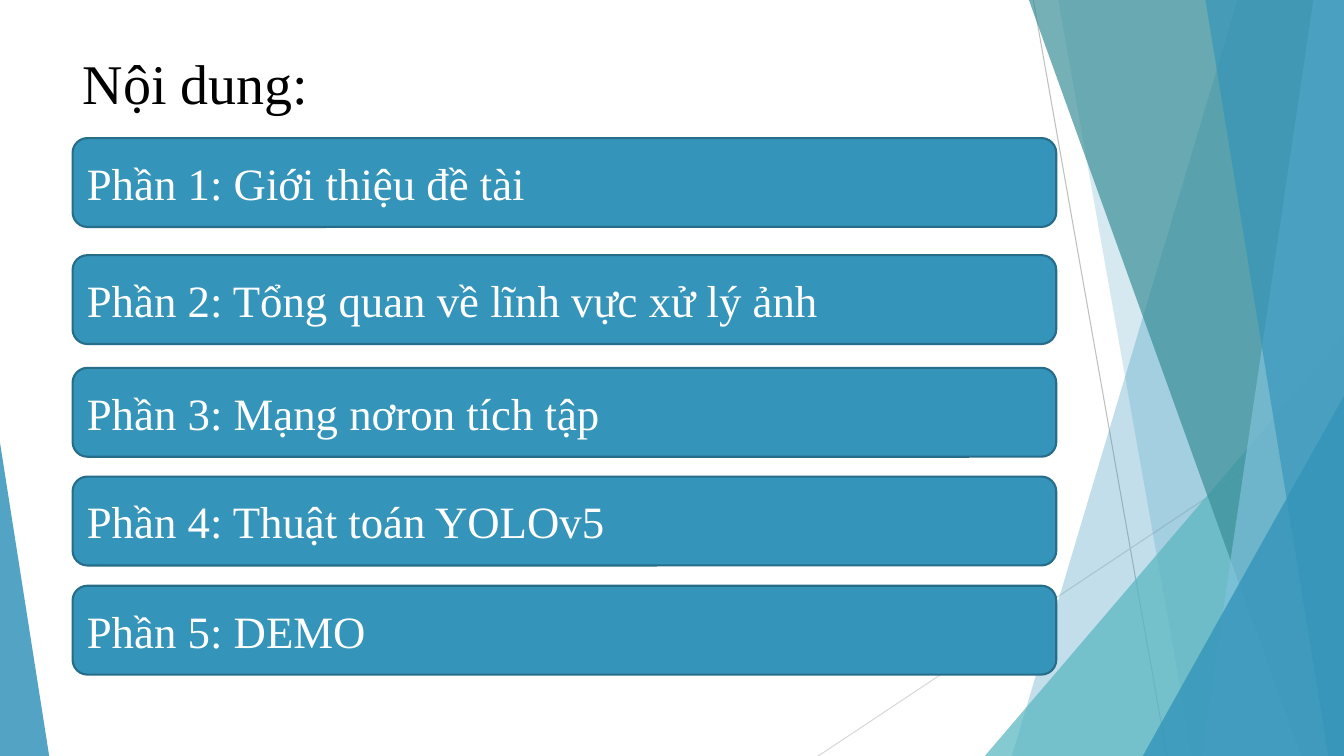
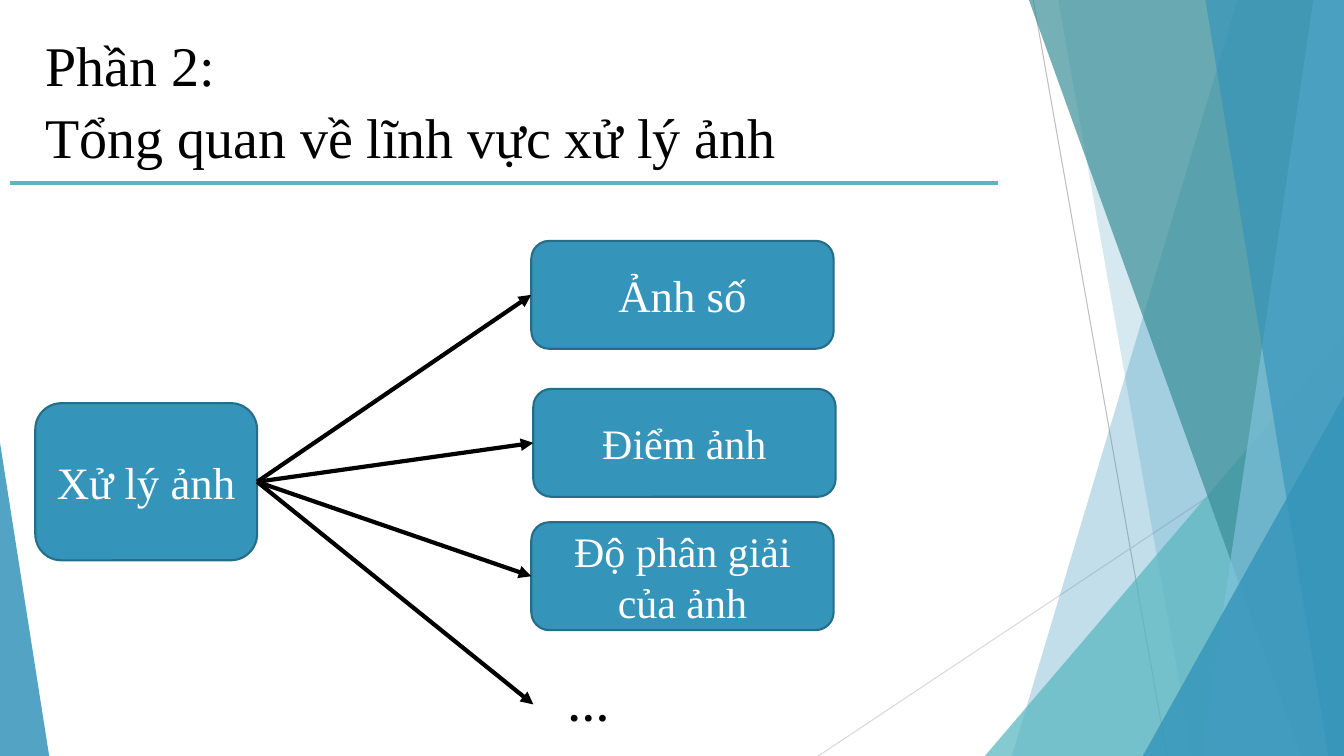
from pptx import Presentation
from pptx.dml.color import RGBColor
from pptx.enum.shapes import MSO_CONNECTOR, MSO_SHAPE
from pptx.enum.text import MSO_ANCHOR, MSO_AUTO_SIZE, PP_ALIGN
from pptx.oxml.ns import qn
from pptx.util import Cm, Pt
from lxml.etree import SubElement

# Content, lengths in cm
CONTENTS_TITLE = "Nội dung:"
SECTIONS = [  # text, top
    ("Phần 1: Giới thiệu đề tài", 3.48),
    ("Phần 2: Tổng quan về lĩnh vực xử lý ảnh", 6.43),
    ("Phần 3: Mạng nơron tích tập", 9.27),
    ("Phần 4: Thuật toán YOLOv5", 12.01),
    ("Phần 5: DEMO", 14.76),
]
TOPIC_TITLE = "Phần 2:\nTổng quan về lĩnh vực xử lý ảnh"
ROOT = "Xử lý ảnh"
BRANCHES = [  # text, left, top, font size
    ("Ảnh số", 13.39, 6.07, 32),
    ("Điểm ảnh", 13.44, 9.8, 30),
    ("Độ phân giải của ảnh", 13.39, 13.16, 30),
]
MORE = "…"

# Shared look
WIDTH, HEIGHT = 33.87, 19.05
FONT = "Times New Roman"
BLUE, EDGE, TEAL = "3494BA", "266D8A", "58B6C0"
BLACK, WHITE = "000000", "FFFFFF"
RAYS = [  # start x, start y, end x, end y, colour
    (26.04, 0, 29.41, HEIGHT, "BFBFBF"),
    (WIDTH, 10.24, 20.62, HEIGHT, "D9D9D9"),
]
BACK_BANDS = [  # x at the top, x at the bottom, colour, opacity in percent
    (31.19, 25.5, BLUE, 30),
    (26.67, 30.05, BLUE, 20),
]
FRONT_BANDS = [
    (25.93, 32.79, "3A8F98", 70),
    (33.1, 30.28, "7FC1DB", 70),
    (30.38, 33.48, BLUE, 65),
]
TEAL_CORNER = (24.82, 8.46, WIDTH, 1, TEAL, 72)  # left, top, right, apex, colour, opacity
SIDE_CORNERS = [
    (28.8, 9.98, WIDTH, 1, BLUE, 80),
    (0, 11.15, 1.24, 0, BLUE, 85),
]


def color(value):
    return RGBColor.from_string(value)


def paint(shape, fill, opacity=100, edge=None):
    shape.shadow.inherit = False
    shape.fill.solid()
    shape.fill.fore_color.rgb = color(fill)
    if opacity < 100:
        tint = shape.element.spPr.find(".//" + qn("a:srgbClr"))
        SubElement(tint, qn("a:alpha")).set("val", str(opacity * 1000))
    if edge:
        shape.line.color.rgb = color(edge)
        shape.line.width = Pt(1.5)
    else:
        shape.line.fill.background()


def write(shape, text, size, ink, align=PP_ALIGN.LEFT, bold=False):
    shape.text_frame.text = text
    for para in shape.text_frame.paragraphs:
        para.alignment = align
        for span in para.runs:
            span.font.name, span.font.size = FONT, Pt(size)
            span.font.color.rgb = color(ink)
            span.font.bold = bold


def add_title(page, text, left, top, width, height):
    title = page.shapes.title
    title.left, title.top, title.width, title.height = map(Cm, (left, top, width, height))
    write(title, text, 40, BLACK)
    frame = title.text_frame
    frame.auto_size, frame.vertical_anchor = MSO_AUTO_SIZE.NONE, MSO_ANCHOR.TOP
    for para in frame.paragraphs:
        para.line_spacing = 1.07


def add_card(page, text, left, top, width, height, size=32, align=PP_ALIGN.CENTER):
    card = page.shapes.add_shape(MSO_SHAPE.ROUNDED_RECTANGLE, *map(Cm, (left, top, width, height)))
    paint(card, BLUE, edge=EDGE)
    write(card, text, size, WHITE, align)
    card.text_frame.vertical_anchor = MSO_ANCHOR.MIDDLE
    return card


def add_line(page, x1, y1, x2, y2, ink, weight, arrow=False):
    line = page.shapes.add_connector(MSO_CONNECTOR.STRAIGHT, *map(Cm, (x1, y1, x2, y2)))
    line.line.color.rgb = color(ink)
    line.line.width = Pt(weight)
    if arrow:
        SubElement(line.element.spPr.find(qn("a:ln")), qn("a:tailEnd")).set("type", "triangle")
    SubElement(line.element.spPr, qn("a:effectLst"))
    return line


def add_band(page, top_x, bottom_x, fill, opacity):
    outline = page.shapes.build_freeform(Cm(top_x), 0)
    corners = [(WIDTH, 0), (WIDTH, HEIGHT), (bottom_x, HEIGHT)]
    outline.add_line_segments([(Cm(x), Cm(y)) for x, y in corners], close=True)
    paint(outline.convert_to_shape(), fill, opacity)


def add_corner(page, left, top, right, apex, fill, opacity):
    corner = page.shapes.add_shape(
        MSO_SHAPE.ISOSCELES_TRIANGLE, Cm(left), Cm(top), Cm(right - left), Cm(HEIGHT - top))
    corner.adjustments[0] = apex
    paint(corner, fill, opacity)


def decorate_layout(page):
    """Draw the facets on a page, then hand them to its layout."""
    for ray in RAYS:
        add_line(page, *ray, 0.75)
    for band in BACK_BANDS:
        add_band(page, *band)
    add_corner(page, *TEAL_CORNER)
    for band in FRONT_BANDS:
        add_band(page, *band)
    for corner in SIDE_CORNERS:
        add_corner(page, *corner)
    tree = page.slide_layout.shapes.element
    for shape in list(page.shapes):
        if not shape.is_placeholder:
            tree.append(shape.element)
    for number, item in enumerate(tree.iter(qn("p:cNvPr")), 1):
        item.set("id", str(number))


def build_contents(page):
    add_title(page, CONTENTS_TITLE, 1.83, 0.97, 23.88, 2.4)
    for text, top in SECTIONS:
        add_card(page, text, 1.83, top, 24.79, 2.24, align=PP_ALIGN.LEFT)


def build_topic(page):
    add_title(page, TOPIC_TITLE, 0.89, 0.53, 32.18, 3.9)
    add_line(page, 0.25, 4.62, 25.15, 4.62, TEAL, 3)

    # Root card and its branches
    root = add_card(page, ROOT, 0.89, 10.16, 5.59, 3.96)
    start = (6.48, 12.14)
    for text, left, top, size in BRANCHES:
        card = add_card(page, text, left, top, 7.62, 2.72, size)
        arrow = add_line(page, *start, left, top + 1.36, BLACK, 3, arrow=True)
        arrow.begin_connect(root, 3)
        arrow.end_connect(card, 1)

    # Open-ended branch
    add_line(page, *start, 13.44, 17.75, BLACK, 3, arrow=True).begin_connect(root, 3)
    more = page.shapes.add_textbox(Cm(14.05), Cm(16.99), Cm(1.57), Cm(1.55))
    write(more, MORE, 30, BLACK, bold=True)


def main():
    deck = Presentation()
    deck.slide_width, deck.slide_height = Cm(WIDTH), Cm(HEIGHT)
    layout = deck.slide_layouts.get_by_name("Title Only")
    contents, topic = [deck.slides.add_slide(layout) for _ in range(2)]
    decorate_layout(contents)
    build_contents(contents)
    build_topic(topic)
    deck.save("out.pptx")


if __name__ == "__main__":
    main()
